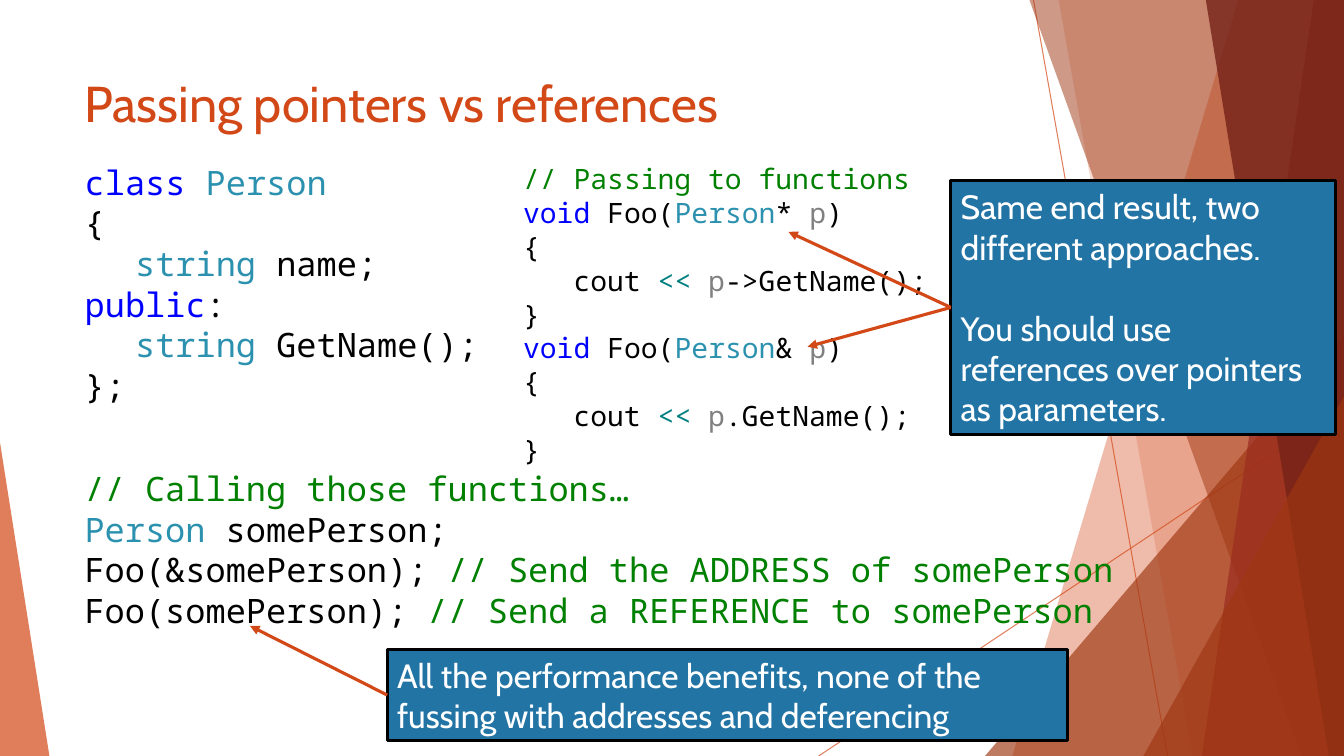
"""Build a slide that compares passing pointers with passing references."""
from lxml import etree
from pptx import Presentation
from pptx import util as u
from pptx.dml.color import RGBColor
from pptx.enum import shapes, text
from pptx.oxml import ns

PX = 9144
WIDTH, HEIGHT = 1333, 750
TEXT_FONT, CODE_FONT = "Cabin", "Noto Sans Mono"
LINE_PITCH = 1.21

ORANGE = RGBColor(0xD3, 0x48, 0x17)
RUST = RGBColor(0x9E, 0x36, 0x11)
RED = RGBColor(0x9B, 0x2D, 0x1F)
MAROON = RGBColor(0x74, 0x22, 0x17)
STEEL = RGBColor(0x22, 0x74, 0xA5)
WHITE = RGBColor(0xFF, 0xFF, 0xFF)
BLACK = RGBColor(0, 0, 0)
KEYWORD = RGBColor(0, 0, 0xFF)
TYPE = RGBColor(0x2B, 0x91, 0xAF)
COMMENT = RGBColor(0, 0x80, 0)
PARAMETER = RGBColor(0x80, 0x80, 0x80)
OPERATOR = RGBColor(0, 0x80, 0x80)

CLASS_CODE = [
    [("class ", KEYWORD), ("Person", TYPE)],
    [("{", BLACK)],
    [("\tstring ", TYPE), ("name;", BLACK)],
    [("public", KEYWORD), (":", BLACK)],
    [("\tstring ", TYPE), ("GetName();", BLACK)],
    [("};", BLACK)],
]
CALL_CODE = [
    [("// Calling those functions…", COMMENT)],
    [("Person ", TYPE), ("somePerson;", BLACK)],
    [("Foo(&somePerson); ", BLACK), ("// Send the ADDRESS of somePerson", COMMENT)],
    [("Foo(somePerson); ", BLACK), ("// Send a REFERENCE to somePerson", COMMENT)],
]


def foo_code(mark, access):
    """Return the lines of one Foo overload."""
    return [
        [("void", KEYWORD), (" Foo(", BLACK), ("Person", TYPE), (mark + " ", BLACK),
         ("p", PARAMETER), (")", BLACK)],
        [("{", BLACK)],
        [("\tcout ", BLACK), ("<< ", OPERATOR), ("p", PARAMETER),
         (access + "GetName();", BLACK)],
        [("}", BLACK)],
    ]


FUNCTION_CODE = ([[("// Passing to functions", COMMENT)]]
                 + foo_code("*", "->") + foo_code("&", "."))


def emu(*lengths):
    """Turn px lengths into EMU."""
    return [u.Emu(length * PX) for length in lengths]


def set_alpha(color_parent, percent):
    """Give the solid colour below an element an opacity."""
    color = color_parent.find(".//" + ns.qn("a:srgbClr"))
    etree.SubElement(color, ns.qn("a:alpha")).set("val", str(percent * 1000))


def paint(shape, color, opacity=100):
    """Fill a shape flatly, without outline or shadow."""
    shape.shadow.inherit = False
    shape.fill.solid()
    shape.fill.fore_color.rgb = color
    shape.line.fill.background()
    if opacity < 100:
        set_alpha(shape.element.spPr, opacity)


def add_line(slide, start, end, weight):
    """Draw a straight orange line."""
    line = slide.shapes.add_connector(shapes.MSO_CONNECTOR.STRAIGHT, *emu(*start, *end))
    line.line.color.rgb = ORANGE
    line.line.width = u.Pt(weight)
    etree.SubElement(line.element.spPr, ns.qn("a:effectLst"))
    return line


def add_facets(slide):
    """Draw the translucent facets along both slide edges."""
    for start, end in [((1025, 0), (1158, HEIGHT)), ((WIDTH, 403), (812, HEIGHT))]:
        set_alpha(add_line(slide, start, end, 0.75).element.spPr, 70)

    def add_band(top_left, bottom_left, color, opacity):
        """Draw a band from a slanted edge to the right side."""
        outline = slide.shapes.build_freeform(top_left, 0, scale=PX)
        outline.add_line_segments([(WIDTH, 0), (WIDTH, HEIGHT), (bottom_left, HEIGHT)])
        paint(outline.convert_to_shape(), color, opacity)

    def add_corner(left, top, width, apex, color, opacity):
        """Draw a right triangle that stands on the bottom edge."""
        corner = slide.shapes.add_shape(shapes.MSO_SHAPE.ISOSCELES_TRIANGLE,
                                        *emu(left, top, width, HEIGHT - top))
        corner.adjustments[0] = apex
        paint(corner, color, opacity)

    add_band(1228, 1004, ORANGE, 36)
    add_band(1050, 1183, ORANGE, 20)
    add_corner(977, 333, 356, 1, RUST, 66)
    add_band(1021, 1291, RUST, 50)
    add_band(1303, 1192, RED, 70)
    add_band(1196, 1318, MAROON, 80)
    add_corner(1134, 393, 199, 1, RUST, 66)
    add_corner(0, 439, 49, 0, ORANGE, 70)


def write_run(paragraph, words, font, size, color):
    """Append one formatted run."""
    run = paragraph.add_run()
    run.text = words
    run.font.name, run.font.size = font, u.Pt(size)
    run.font.color.rgb = color


def place_placeholder(holder, box):
    """Move a placeholder into a box and in front of the facets."""
    holder.left, holder.top, holder.width, holder.height = emu(*box)
    tree = holder.element.getparent()
    tree.append(holder.element)
    holder.text_frame.auto_size = text.MSO_AUTO_SIZE.NONE
    holder.text_frame.vertical_anchor = text.MSO_ANCHOR.TOP


def write_code(frame, lines, size):
    """Fill a text frame with coloured code lines."""
    frame.word_wrap = True
    for number, tokens in enumerate(lines):
        line = frame.add_paragraph() if number else frame.paragraphs[0]
        line.alignment = text.PP_ALIGN.LEFT
        line.space_before = line.space_after = u.Pt(0)
        line.line_spacing = u.Pt(size * LINE_PITCH)
        props = line._p.get_or_add_pPr()
        props.set("marL", "0")
        props.set("indent", "0")
        etree.SubElement(props, ns.qn("a:buNone"))
        tabs = etree.SubElement(props, ns.qn("a:tabLst"))
        etree.SubElement(tabs, ns.qn("a:tab"), pos=str(50 * PX), algn="l")
        for words, color in tokens:
            write_run(line, words, CODE_FONT, size, color)


def add_title(slide, box):
    """Write the slide title."""
    title = slide.shapes.title
    place_placeholder(title, box)
    heading = title.text_frame.paragraphs[0]
    heading.alignment = text.PP_ALIGN.LEFT
    write_run(heading, "Passing pointers vs references", TEXT_FONT, 36, ORANGE)


def add_code(slide, box, lines, size):
    """Add a text box of code."""
    write_code(slide.shapes.add_textbox(*emu(*box)).text_frame, lines, size)


def add_callout(slide, box, remarks, targets):
    """Add a blue callout with arrows from its left side."""
    callout = slide.shapes.add_shape(shapes.MSO_SHAPE.RECTANGLE, *emu(*box))
    paint(callout, STEEL)
    callout.line.color.rgb = BLACK
    callout.line.width = u.Pt(2.25)
    frame = callout.text_frame
    frame.word_wrap = True
    for number, remark in enumerate(remarks):
        paragraph = frame.add_paragraph() if number else frame.paragraphs[0]
        paragraph.alignment = text.PP_ALIGN.LEFT
        paragraph.space_before = u.Pt(29 if number else 0)
        write_run(paragraph, remark, TEXT_FONT, 24, WHITE)
    left, top, _, height = box
    for target in targets:
        arrow = add_line(slide, (left, top + height // 2), target, 2.25)
        arrow.begin_connect(callout, 1)
        etree.SubElement(arrow.line._get_or_add_ln(), ns.qn("a:tailEnd"), type="triangle")


def main():
    """Build and save the slide."""
    deck = Presentation()
    deck.slide_width, deck.slide_height = emu(WIDTH, HEIGHT)
    slide = deck.slides.add_slide(deck.slide_layouts[1])
    add_facets(slide)
    add_title(slide, (74, 67, 940, 144))
    class_body = slide.placeholders[1]
    place_placeholder(class_body, (74, 155, 434, 304))
    write_code(class_body.text_frame, CLASS_CODE, 24)
    add_code(slide, (509, 155, 667, 313), FUNCTION_CODE, 20)
    add_code(slide, (74, 459, 1148, 172), CALL_CODE, 24)
    add_callout(slide, (943, 179, 382, 252),
                ["Same end result, two different approaches.",
                 "You should use references over pointers as parameters."],
                [(782, 230), (801, 344)])
    add_callout(slide, (384, 644, 675, 91),
                ["All the performance benefits, none of the fussing with addresses "
                 "and deferencing"], [(248, 621)])
    deck.save("out.pptx")


if __name__ == "__main__":
    main()
